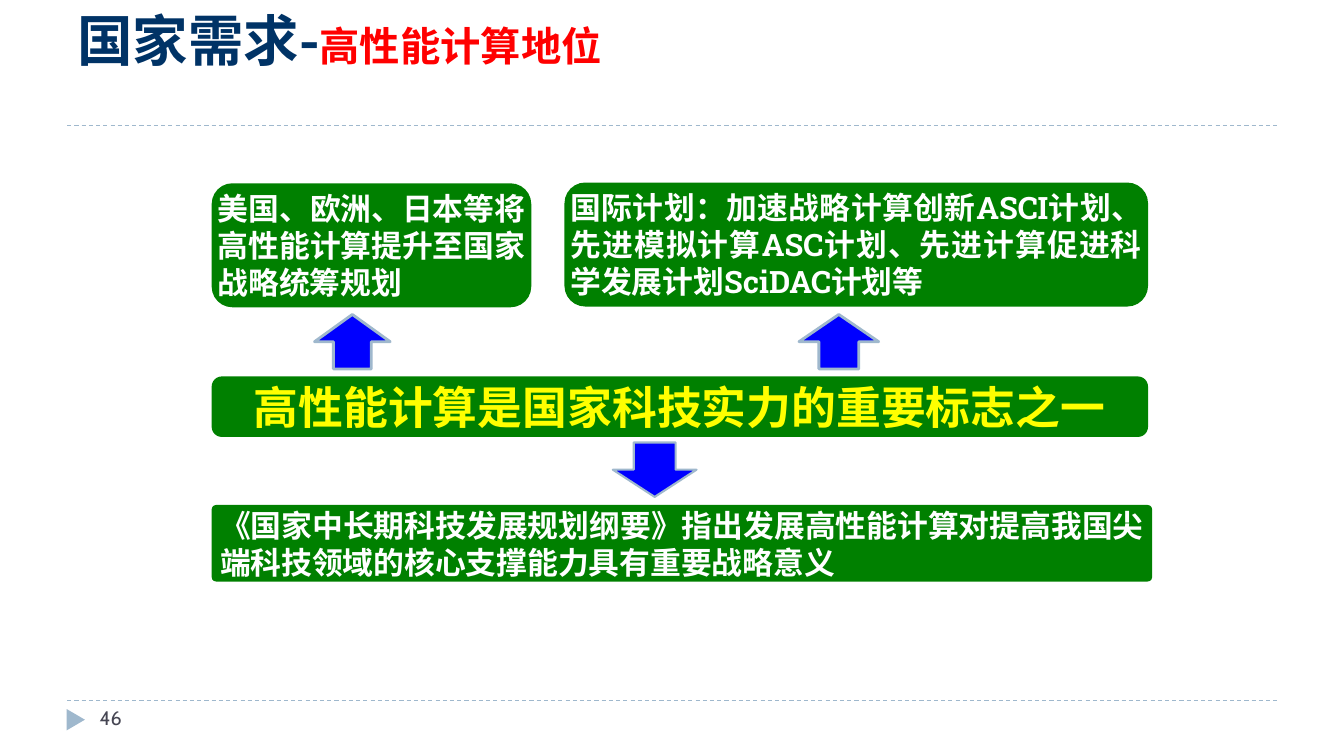
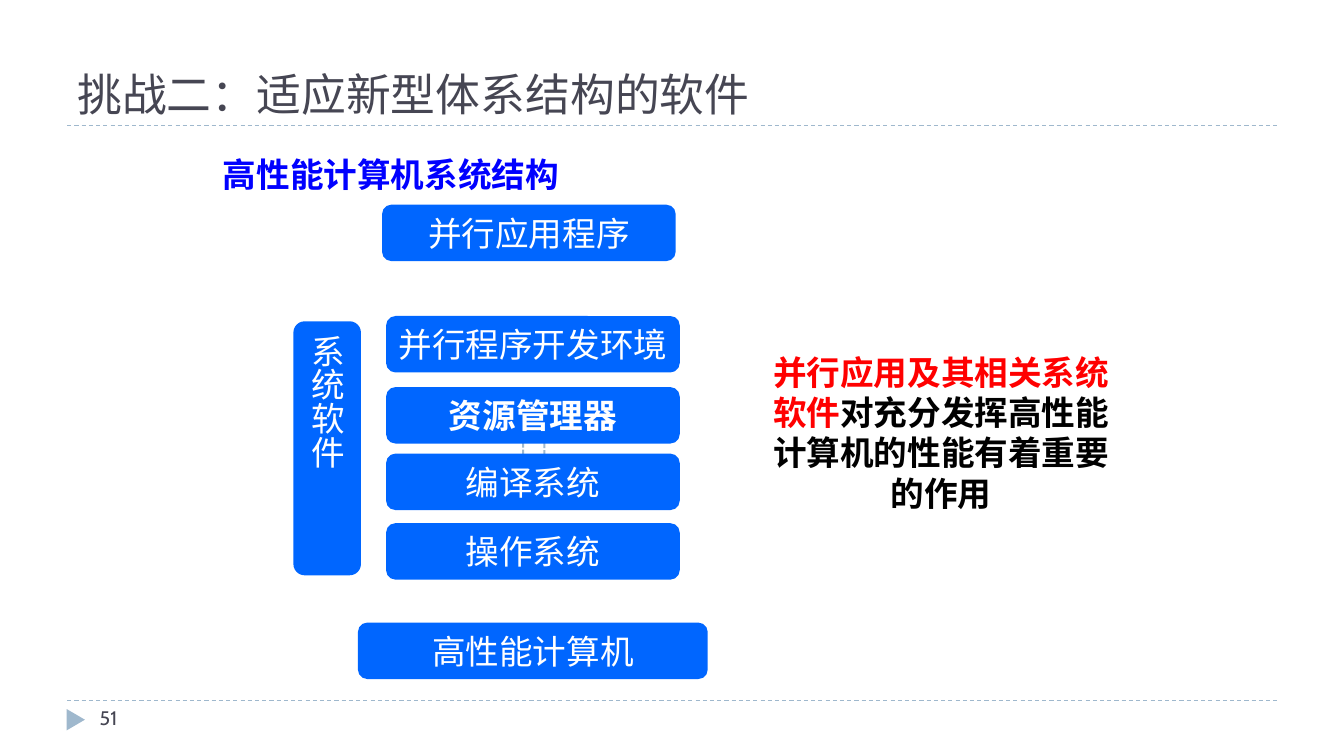
from dataclasses import dataclass

from lxml import etree
from pptx import Presentation
from pptx import util as u
from pptx.dml.color import RGBColor
from pptx.enum import dml, shapes, text
from pptx.oxml.ns import qn

# Shared look
COLORS = {
    "rule": "9FB8CD", "ink": "464653", "navy": "003366", "red": "FF0000",
    "green": "008000", "blue": "0000FF", "azure": "0066FF",
    "yellow": "FFFF00", "white": "FFFFFF", "black": "000000",
}
HAN, SLAB, CABIN, ARIAL = "Noto Sans CJK SC", "Roboto Slab", "Cabin", "Arial"
LEADING = 1.2
WIDTH, HEIGHT = u.Inches(40 / 3), u.Inches(7.5)
SHAPE, ALIGN, ANCHOR = shapes.MSO_SHAPE, text.PP_ALIGN, text.MSO_ANCHOR


@dataclass(frozen=True)
class Area:
    """A place on the slide, in percent of its width and height."""
    left: float
    top: float
    width: float
    height: float

    def emu(self) -> tuple[int, int, int, int]:
        return (int(WIDTH * self.left / 100), int(HEIGHT * self.top / 100),
                int(WIDTH * self.width / 100), int(HEIGHT * self.height / 100))


@dataclass(frozen=True)
class Run:
    words: str
    size: float
    color: str
    font: str = HAN
    bold: bool = False


@dataclass(frozen=True)
class Block:
    """A box or a plain text area with its runs of text."""
    area: Area
    runs: tuple[Run, ...]
    fill: str | None = None
    align: ALIGN = ALIGN.CENTER
    anchor: ANCHOR = ANCHOR.MIDDLE
    inset: tuple[float, float] = (0.05, 0)
    corner: float = 0.167
    vertical: bool = False


@dataclass(frozen=True)
class Arrow:
    area: Area
    kind: SHAPE
    line: float


def rgb(name: str) -> RGBColor:
    return RGBColor.from_string(COLORS[name])


def write_runs(paragraph, runs: tuple[Run, ...]) -> None:
    for part in runs:
        run = paragraph.add_run()
        run.text = part.words
        look = {"size": u.Pt(part.size), "bold": part.bold, "name": part.font}
        for key, value in look.items():
            setattr(run.font, key, value)
        run.font.color.rgb = rgb(part.color)
        east = etree.SubElement(run.font._element, qn("a:ea"))
        east.set("typeface", HAN)


def add_shape(slide, kind: SHAPE, area: Area, fill: str | None,
              line: str | None = None, width: float = 0.75):
    shape = slide.shapes.add_shape(kind, *area.emu())
    shape.shadow.inherit = False
    if fill:
        shape.fill.solid()
        shape.fill.fore_color.rgb = rgb(fill)
    else:
        shape.fill.background()
    if line:
        shape.line.color.rgb = rgb(line)
        shape.line.width = u.Pt(width)
    else:
        shape.line.fill.background()
    return shape


def add_block(slide, block: Block) -> None:
    if block.fill:
        holder = add_shape(slide, SHAPE.ROUNDED_RECTANGLE, block.area, block.fill)
        holder.adjustments[0] = block.corner
    else:
        holder = slide.shapes.add_textbox(*block.area.emu())
    frame = holder.text_frame
    side, edge = (u.Inches(gap) for gap in block.inset)
    layout = {"word_wrap": True, "vertical_anchor": block.anchor,
              "margin_left": side, "margin_right": side,
              "margin_top": edge, "margin_bottom": edge}
    for key, value in layout.items():
        setattr(frame, key, value)
    if block.vertical:
        frame._txBody.bodyPr.set("vert", "eaVert")
    paragraph = frame.paragraphs[0]
    paragraph.alignment = block.align
    paragraph.line_spacing = u.Pt(block.runs[0].size * LEADING)
    # Keep punctuation inside the box
    paragraph._p.get_or_add_pPr().set("hangingPunct", "0")
    write_runs(paragraph, block.runs)


def add_arrow(slide, arrow: Arrow) -> None:
    add_shape(slide, arrow.kind, arrow.area, "blue", "rule", arrow.line)


def add_rule(slide, top: float):
    left, y, width, _ = Area(5, top, 90, 0).emu()
    rule = slide.shapes.add_connector(shapes.MSO_CONNECTOR.STRAIGHT,
                                      left, y, left + width, y)
    rule.line.color.rgb = rgb("rule")
    rule.line.width = u.Pt(0.75)
    rule.line.dash_style = dml.MSO_LINE.DASH
    etree.SubElement(rule.element.spPr, qn("a:effectLst"))
    return rule


def furnish_layout(layout, slide) -> None:
    """Set the title place and move the rules and the page mark to the layout."""
    title = layout.placeholders[0]
    title.left, title.top, title.width, title.height = Area(5, 2.27, 90, 14.4).emu()
    mark = add_shape(slide, SHAPE.ISOSCELES_TRIANGLE,
                     Area(4.85, 94, 1.58, 2.4), "rule")
    mark.rotation = 90
    for part in (add_rule(slide, 92.67), add_rule(slide, 16.65), mark):
        layout.element.cSld.spTree.append(part.element)


def add_heading(slide, runs: tuple[Run, ...], number: str, bottom: float) -> None:
    frame = slide.shapes.title.text_frame
    frame.vertical_anchor = ANCHOR.BOTTOM
    frame.margin_bottom = u.Inches(bottom)
    frame.paragraphs[0].alignment = ALIGN.LEFT
    write_runs(frame.paragraphs[0], runs)
    add_block(slide, Block(Area(6.68, 92.67, 21.68, 5.33),
                           (Run(number, 14, "ink", CABIN),), align=ALIGN.LEFT,
                           anchor=ANCHOR.TOP, inset=(0.1, 0.05)))


def white(words: str, font: str = HAN) -> Run:
    return Run(words, 22, "white", font, True)


def build_status(slide) -> None:
    add_heading(slide, (Run("国家需求-", 39.6, "navy", bold=True),
                        Run("高性能计算地位", 28.8, "red", bold=True)), "46", 0.53)
    # Evidence above, claim in the middle, policy below
    plans = (white("国际计划：加速战略计算创新"), white("ASCI", SLAB),
             white("计划、先进模拟计算"), white("ASC", SLAB),
             white("计划、先进计算促进科学发展计划"), white("SciDAC", SLAB),
             white("计划等"))
    claim = Run("高性能计算是国家科技实力的重要标志之一", 32, "yellow", bold=True)
    policy = white("《国家中长期科技发展规划纲要》指出发展高性能计算对提高"
                   "我国尖端科技领域的核心支撑能力具有重要战略意义")
    regions = white("美国、欧洲、日本等将高性能计算提升至国家战略统筹规划")
    for block in (
        Block(Area(15.75, 24.25, 23.78, 16.4), (regions,), "green",
              ALIGN.JUSTIFY, inset=(0, 0)),
        Block(Area(42, 24.15, 43.42, 16.4), plans, "green",
              ALIGN.JUSTIFY, inset=(0, 0)),
        Block(Area(15.75, 49.8, 69.67, 8), (claim,), "green", inset=(0, 0)),
        Block(Area(15.75, 66.8, 69.98, 10.13), (policy,), "green",
              ALIGN.JUSTIFY, inset=(0.07, 0), corner=0.06),
    ):
        add_block(slide, block)
    for arrow in (
        Arrow(Area(23.4, 41.6, 5.63, 7.2), SHAPE.UP_ARROW, 2),
        Arrow(Area(59.45, 41.6, 5.93, 7.2), SHAPE.UP_ARROW, 2),
        Arrow(Area(45.6, 58.53, 6.23, 7.2), SHAPE.DOWN_ARROW, 1.5),
    ):
        add_arrow(slide, arrow)


def build_software(slide) -> None:
    add_heading(slide, (Run("挑战二：适应新型体系结构的软件", 32, "ink", SLAB),),
                "51", 0.05)
    # Dashed link behind the layers
    link = add_shape(slide, SHAPE.ROUNDED_RECTANGLE,
                     Area(38.93, 56.8, 1.58, 6.8), None, "rule", 1.5)
    link.adjustments[0] = 0.05
    link.line.dash_style = dml.MSO_LINE.SQUARE_DOT
    # Layers of the system
    layer_width, layer_height = 21.85, 7.47
    layers = [("并行应用程序", Area(28.43, 27.07, layer_width, layer_height)),
              ("高性能计算机", Area(26.63, 82.35, 26.03, layer_height))]
    system = {"并行程序开发环境": 41.8, "资源管理器": 51.2,
              "编译系统": 60, "操作系统": 69.2}
    layers += [(name, Area(28.73, top, layer_width, layer_height))
               for name, top in system.items()]
    for name, area in layers:
        run = Run(name, 24, "white", bold=name == "资源管理器")
        add_block(slide, Block(area, (run,), "azure"))
    add_block(slide, Block(Area(21.83, 42.5, 5.03, 33.6),
                           (Run("系统软件", 24, "white"),), "azure", ALIGN.LEFT,
                           inset=(0.05, 0.1), vertical=True))
    # Caption and remark
    add_block(slide, Block(Area(15.85, 19.73, 66.75, 6.67),
                           (Run("高性能计算机系统结构", 24, "blue", ARIAL, True),),
                           align=ALIGN.LEFT, anchor=ANCHOR.TOP, inset=(0.1, 0.05)))
    remark = (Run("并行应用及其相关系统软件", 24, "red", bold=True),
              Run("对充分发挥高性能计算机的性能有着重要的作用", 24, "black", bold=True))
    add_block(slide, Block(Area(56.25, 45.87, 27.53, 22.93), remark,
                           anchor=ANCHOR.TOP, inset=(0.1, 0.05)))


def main() -> None:
    deck = Presentation()
    deck.slide_width, deck.slide_height = WIDTH, HEIGHT
    layout = deck.slide_layouts[5]
    status, software = (deck.slides.add_slide(layout) for _ in range(2))
    furnish_layout(layout, status)
    build_status(status)
    build_software(software)
    deck.save("out.pptx")


if __name__ == "__main__":
    main()
